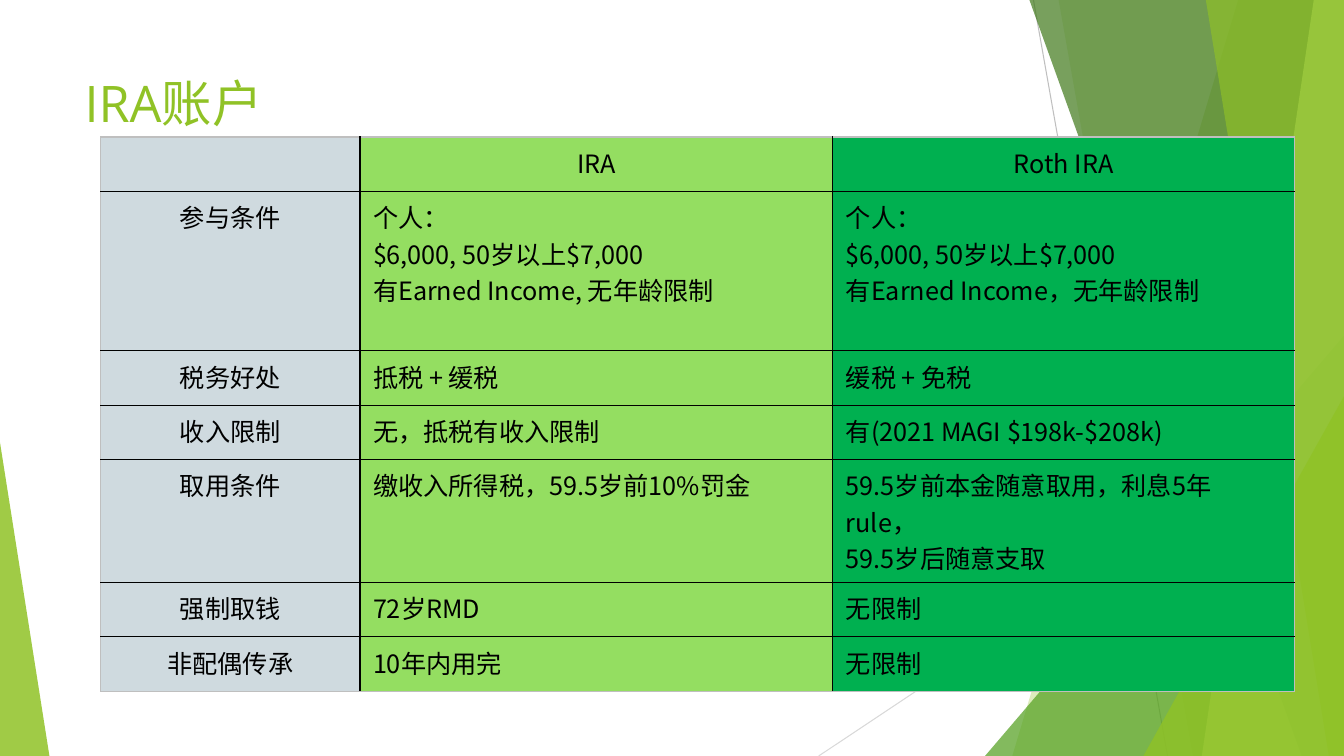
from dataclasses import dataclass

from lxml import etree
from pptx import Presentation
from pptx.dml.color import RGBColor
from pptx.enum.shapes import MSO_CONNECTOR, MSO_SHAPE
from pptx.enum.text import MSO_ANCHOR, PP_ALIGN
from pptx.oxml.ns import qn
from pptx.util import Inches, Pt

TRIANGLE = MSO_SHAPE.ISOSCELES_TRIANGLE
STRAIGHT = MSO_CONNECTOR.STRAIGHT
CENTER, LEFT = PP_ALIGN.CENTER, PP_ALIGN.LEFT
TOP = MSO_ANCHOR.TOP

# Grid: the slide is 133.3 columns by 75 rows
COLS, ROWS = 133.3, 75
SLIDE_W, SLIDE_H = Inches(13.33), Inches(7.5)


@dataclass(frozen=True)
class Theme:
    lime: str = "90C226"
    leaf: str = "54A021"
    forest: str = "3F7819"
    pale: str = "C0E474"
    gray: str = "BFBFBF"
    light_gray: str = "D9D9D9"
    ink: str = "000000"
    columns: tuple[str, ...] = ("CFDADF", "94DE61", "00B050")
    latin: str = "Open Sans"
    cjk: str = "Noto Sans CJK SC"
    title_size: float = 36
    body_size: float = 18
    hairline: float = 0.75
    rule: float = 1
    header_rule: float = 1.5


@dataclass(frozen=True)
class Ray:
    start: tuple[float, float]
    end: tuple[float, float]
    color: str


@dataclass(frozen=True)
class Band:
    """Facet reaching the right edge, with a slanted left side."""
    top: float
    bottom: float
    color: str
    opacity: int


@dataclass(frozen=True)
class Corner:
    """Right-angled triangle standing on the bottom edge."""
    left: float
    width: float
    top: float
    apex: int
    color: str
    opacity: int


T = Theme()

# Backdrop, from back to front
BACKDROP = (
    Ray((102.5, 0), (115.8, ROWS), T.gray),
    Ray((COLS, 40.3), (81.2, ROWS), T.light_gray),
    Band(122.8, 100.4, T.lime, 30),
    Band(105, 118.3, T.lime, 20),
    Corner(97.7, 35.6, 33.3, 1, T.leaf, 72),
    Band(102.1, 129.1, T.forest, 70),
    Band(130.3, 119.2, T.pale, 70),
    Band(119.6, 131.8, T.lime, 65),
    Corner(113.4, 19.9, 39.3, 1, T.lime, 80),
    Corner(0, 4.9, 43.9, 0, T.lime, 85),
)

# Table: wording and grid sizes
COL_WIDTHS = (25.7, 46.9, 45.8)
ROW_HEIGHTS = (5.4, 15.8, 5.4, 5.4, 12.2, 5.4, 5.4)
ACCOUNTS = (
    ("", "IRA", "Roth IRA"),
    ("参与条件",
     "个人：\n$6,000, 50岁以上$7,000\n有Earned Income, 无年龄限制",
     "个人：\n$6,000, 50岁以上$7,000\n有Earned Income，无年龄限制"),
    ("税务好处", "抵税 + 缓税", "缓税 + 免税"),
    ("收入限制", "无，抵税有收入限制", "有(2021 MAGI $198k-$208k)"),
    ("取用条件", "缴收入所得税，59.5岁前10%罚金",
     "59.5岁前本金随意取用，利息5年rule，\n59.5岁后随意支取"),
    ("强制取钱", "72岁RMD", "无限制"),
    ("非配偶传承", "10年内用完", "无限制"),
)


def gx(col: float) -> int:
    return round(SLIDE_W * col / COLS)


def gy(row: float) -> int:
    return round(SLIDE_H * row / ROWS)


def paint(sp, color: str, opacity: int) -> None:
    sp.shadow.inherit = False
    sp.line.fill.background()
    sp.fill.solid()
    sp.fill.fore_color.rgb = RGBColor.from_string(color)
    clr = sp._element.spPr.find(qn("a:solidFill")).find(qn("a:srgbClr"))
    etree.SubElement(clr, qn("a:alpha"), val=str(opacity * 1000))


def draw_ray(s, ray: Ray) -> None:
    (x1, y1), (x2, y2) = ray.start, ray.end
    line = s.shapes.add_connector(STRAIGHT, gx(x1), gy(y1), gx(x2), gy(y2))
    line.line.color.rgb = RGBColor.from_string(ray.color)
    line.line.width = Pt(T.hairline)
    etree.SubElement(line._element.spPr, qn("a:effectLst"))


def draw_band(s, band: Band) -> None:
    fb = s.shapes.build_freeform(gx(band.top), 0)
    fb.add_line_segments([(gx(COLS), 0), (gx(COLS), gy(ROWS)),
                          (gx(band.bottom), gy(ROWS))], close=True)
    paint(fb.convert_to_shape(), band.color, band.opacity)


def draw_corner(s, corner: Corner) -> None:
    sp = s.shapes.add_shape(TRIANGLE, gx(corner.left), gy(corner.top),
                            gx(corner.width), gy(ROWS - corner.top))
    sp.adjustments[0] = corner.apex
    paint(sp, corner.color, corner.opacity)


def style_text(tf, size: float, color: str, latin: str, align) -> None:
    for p in tf.paragraphs:
        p.alignment = align
        for r in p.runs:
            r.font.size = Pt(size)
            r.font.name = latin
            r.font.color.rgb = RGBColor.from_string(color)
            etree.SubElement(r._r.get_or_add_rPr(), qn("a:ea"), typeface=T.cjk)


def add_border(cell, side: str, color: str, width: float) -> None:
    ln = etree.SubElement(cell._tc.get_or_add_tcPr(), qn(f"a:ln{side}"),
                          w=str(Pt(width)))
    fill = etree.SubElement(ln, qn("a:solidFill"))
    etree.SubElement(fill, qn("a:srgbClr"), val=color)


def draw_title(s, text: str) -> None:
    tf = s.shapes.add_textbox(gx(7.4), gy(6.7), gx(94), gy(14.4)).text_frame
    tf.word_wrap = True
    tf.vertical_anchor = TOP
    tf.text = text
    style_text(tf, T.title_size, T.lime, T.latin, LEFT)


def draw_table(s) -> None:
    n_rows, n_cols = len(ROW_HEIGHTS), len(COL_WIDTHS)
    table = s.shapes.add_table(n_rows, n_cols, gx(10), gy(13.6),
                               gx(sum(COL_WIDTHS)), gy(sum(ROW_HEIGHTS))).table
    table.first_row = table.horz_banding = False
    for column, width in zip(table.columns, COL_WIDTHS):
        column.width = gx(width)
    for row, height in zip(table.rows, ROW_HEIGHTS):
        row.height = gy(height)
    for i, texts in enumerate(ACCOUNTS):
        for j, text in enumerate(texts):
            cell = table.cell(i, j)
            cell.margin_left = cell.margin_right = gx(1.3)
            cell.margin_top = cell.margin_bottom = gy(0.7)
            # Gray frame outside, black rules inside
            outer = {"L": j == 0, "R": j == n_cols - 1,
                     "T": i == 0, "B": i == n_rows - 1}
            for side, is_outer in outer.items():
                under_header = (i, side) in ((0, "B"), (1, "T"))
                add_border(cell, side, T.gray if is_outer else T.ink,
                           T.header_rule if under_header else T.rule)
            cell.fill.solid()
            cell.fill.fore_color.rgb = RGBColor.from_string(T.columns[j])
            cell.text_frame.text = text
            style_text(cell.text_frame, T.body_size, T.ink, T.cjk,
                       CENTER if i == 0 or j == 0 else LEFT)


def main() -> None:
    prs = Presentation()
    prs.slide_width, prs.slide_height = SLIDE_W, SLIDE_H
    s = prs.slides.add_slide(prs.slide_layouts[6])
    painters = {Ray: draw_ray, Band: draw_band, Corner: draw_corner}
    for part in BACKDROP:
        painters[type(part)](s, part)
    draw_title(s, "IRA账户")
    draw_table(s)
    prs.save("out.pptx")


if __name__ == "__main__":
    main()
